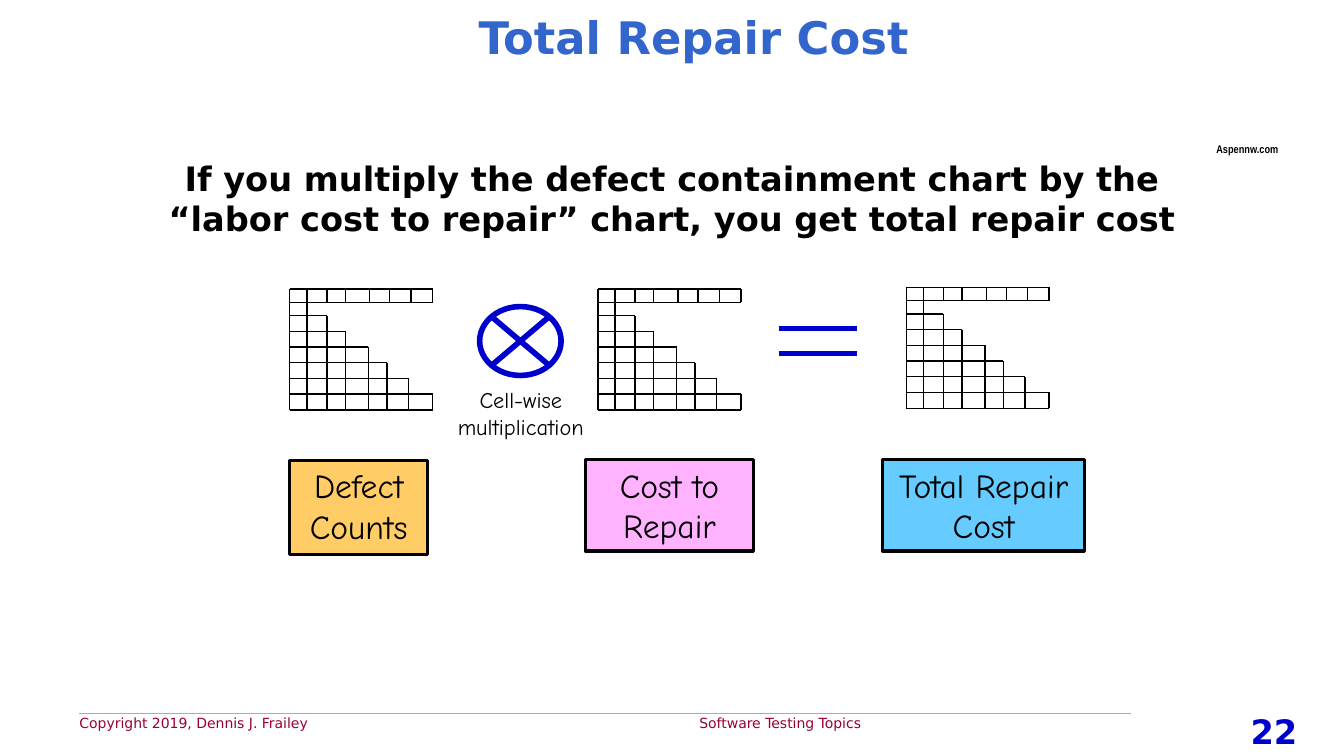
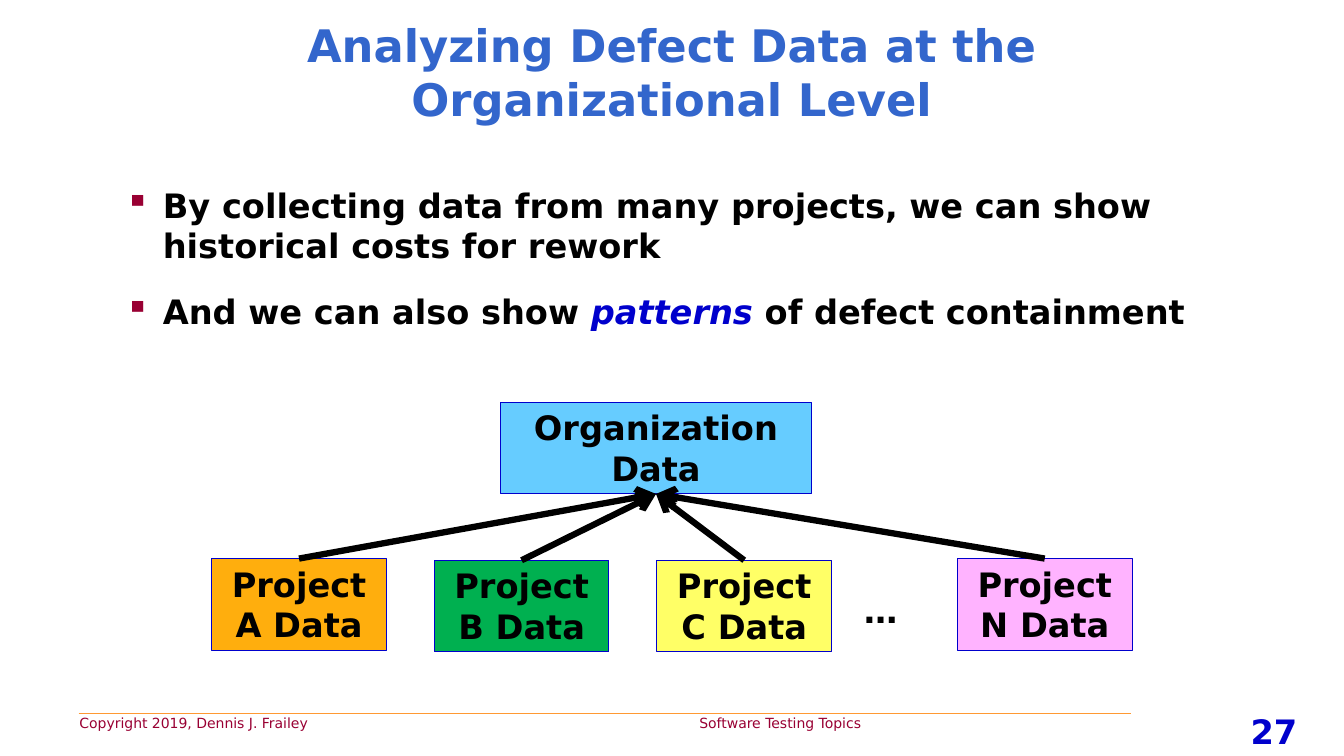
import pptx
import pptx.dml.color
import pptx.enum.shapes
import pptx.enum.text
import pptx.oxml.ns
import pptx.util
from lxml import etree

COLORS = {
    "title": "3366CC", "text": "000000", "accent": "0000CC", "footer": "990033",
    "rule": "FF9933", "white": "FFFFFF", "sand": "FFCC66", "pink": "FFB3FF",
    "sky": "66CCFF", "orange": "FFAE0D", "green": "00B050", "yellow": "FFFF66",
}
COLUMNS, ROWS, UNITS_PER_INCH = 160, 90, 12

SANS = "DejaVu Sans"
STYLES = {
    "title": {"name": SANS, "size": 32, "bold": True, "color": "title"},
    "body": {"name": SANS, "size": 24, "bold": True, "color": "text"},
    "number": {"name": SANS, "size": 24, "bold": True, "color": "accent"},
    "footer": {"name": SANS, "size": 10, "color": "footer"},
    "label": {"name": "Comic Neue", "size": 24, "color": "text"},
    "caption": {"name": "Comic Neue", "size": 16, "color": "text"},
    "credit": {"name": "Arial Narrow", "size": 8, "bold": True, "color": "text"},
}
CENTER = pptx.enum.text.PP_ALIGN.CENTER
LEFT = pptx.enum.text.PP_ALIGN.LEFT
TOP = pptx.enum.text.MSO_ANCHOR.TOP
MIDDLE = pptx.enum.text.MSO_ANCHOR.MIDDLE

MATRIX_COLUMNS = [0, 0.12, 0.26, 0.39, 0.55, 0.68, 0.83, 1]
MATRIX_HEADER = [0.12, 0.26, 0.39, 0.56, 0.7, 0.85, 1]
MATRIX_ROWS = [0, 0.11, 0.22, 0.35, 0.48, 0.61, 0.74, 0.87, 1]


def grid(units):
    """Return the length of a number of grid units."""
    return pptx.util.Inches(units / UNITS_PER_INCH)


def rgb(name):
    """Return a named colour."""
    return pptx.dml.color.RGBColor.from_string(COLORS[name])


def add_element(parent, tag, **attributes):
    """Append a drawing element to a parent."""
    return etree.SubElement(parent, pptx.oxml.ns.qn(tag), attributes)


def format_font(font, style):
    """Set a font from a dict of format values."""
    for name, value in style.items():
        if name == "color":
            font.color.rgb = rgb(value)
        else:
            setattr(font, name, pptx.util.Pt(value) if name == "size" else value)


def format_line(line, color, width):
    """Set the colour and width of an outline."""
    line.color.rgb = rgb(color)
    line.width = pptx.util.Pt(width)


def add_bullet(paragraph):
    """Give a paragraph a square bullet and a hanging indent."""
    properties = paragraph._p.get_or_add_pPr()
    indent = grid(4.5)
    properties.set("marL", str(indent))
    properties.set("indent", str(-indent))
    add_element(add_element(properties, "a:buClr"), "a:srgbClr", val=COLORS["footer"])
    add_element(properties, "a:buChar", char="▪")


def add_tab(paragraph, position):
    """Give a paragraph one left tab stop."""
    tabs = add_element(paragraph._p.get_or_add_pPr(), "a:tabLst")
    add_element(tabs, "a:tab", pos=str(grid(position)), algn="l")


def write_text(shape, paragraphs, style, align=CENTER, anchor=TOP, wrap=True,
               bullets=False, space=0, tab=None):
    """Fill a shape with paragraphs, each a list of runs with style changes."""
    frame = shape.text_frame
    settings = {"word_wrap": wrap, "vertical_anchor": anchor,
                "auto_size": pptx.enum.text.MSO_AUTO_SIZE.NONE}
    for name, value in settings.items():
        setattr(frame, name, value)
    for index, runs in enumerate(paragraphs):
        paragraph = frame.add_paragraph() if index else frame.paragraphs[0]
        if bullets:
            add_bullet(paragraph)
        if tab:
            add_tab(paragraph, tab)
        paragraph.alignment = align
        if index and space:
            paragraph.space_before = pptx.util.Pt(space)
        for text, changes in runs:
            run = paragraph.add_run()
            run.text = text
            format_font(run.font, {**STYLES[style], **changes})


def add_text(slide, box, paragraphs, style, **options):
    """Add a text box on the grid."""
    shape = slide.shapes.add_textbox(*map(grid, box))
    write_text(shape, paragraphs, style, **options)


def add_box(slide, box, fill, line, width, text=None, style="body", kind="RECTANGLE"):
    """Add a filled shape with an outline and an optional label."""
    preset = getattr(pptx.enum.shapes.MSO_SHAPE, kind)
    shape = slide.shapes.add_shape(preset, *map(grid, box))
    shape.shadow.inherit = False
    shape.fill.solid()
    shape.fill.fore_color.rgb = rgb(fill)
    format_line(shape.line, line, width)
    if text:
        write_text(shape, [[(text, {})]], style)
    return shape


def add_line(slide, start, end, color, width, arrow=False):
    """Add a straight line between two grid points."""
    connector = slide.shapes.add_connector(
        pptx.enum.shapes.MSO_CONNECTOR.STRAIGHT, *map(grid, (*start, *end)))
    format_line(connector.line, color, width)
    if arrow:
        add_element(connector.line._get_or_add_ln(), "a:tailEnd", type="arrow")
    add_element(connector._element.spPr, "a:effectLst")
    return connector


def add_titled_slide(presentation, title, title_box, number):
    """Add a slide with its title, footer and page number."""
    slide = presentation.slides.add_slide(presentation.slide_layouts[5])
    placeholder = slide.shapes.title
    for name, value in zip(("left", "top", "width", "height"), title_box):
        setattr(placeholder, name, grid(value))
    write_text(placeholder, [[(title, {})]], "title", anchor=MIDDLE)
    add_line(slide, (9.36, 85), (134.64, 85), "rule", 0.75)
    footer = "Copyright 2019, Dennis J. Frailey\tSoftware Testing Topics"
    add_text(slide, (8.28, 84.5, 127.7, 3.2), [[(footer, {})]], "footer",
             align=LEFT, tab=73.8)
    add_text(slide, (143.2, 84, 16.9, 6), [[(number, {})]], "number")
    return slide


def add_matrix(slide, box):
    """Draw a header row above a staircase of cells."""
    left, top, width, height = box

    def rule(x1, y1, x2, y2):
        """Draw one line between two points given as shares of the box."""
        add_line(slide, (left + x1 * width, top + y1 * height),
                 (left + x2 * width, top + y2 * height), "text", 1)

    for y in (MATRIX_ROWS[0], MATRIX_ROWS[1], MATRIX_ROWS[-1]):
        rule(0, y, 1, y)
    rule(0, 0, 0, 1)
    for x in MATRIX_HEADER:
        rule(x, 0, x, MATRIX_ROWS[1])
    for x, y in list(zip(MATRIX_COLUMNS, MATRIX_ROWS))[1:]:
        rule(x, y, x, 1)
        if y > MATRIX_ROWS[1]:
            rule(0, y, x, y)


def add_times_sign(slide, box):
    """Draw a circled multiplication sign."""
    left, top, width, height = box
    add_box(slide, box, "white", "accent", 4, kind="OVAL")
    near, far = 0.14, 0.86
    for start, end in ((near, far), (far, near)):
        add_line(slide, (left + start * width, top + near * height),
                 (left + end * width, top + far * height), "accent", 4)


def add_equals_sign(slide, box):
    """Draw two parallel bars along the top and bottom of a box."""
    left, top, width, height = box
    for y in (top, top + height):
        add_line(slide, (left, y), (left + width, y), "accent", 4)


def build_cost_slide(presentation):
    """Build the slide that multiplies two charts into a third."""
    slide = add_titled_slide(presentation, "Total Repair Cost", (11.4, 0, 142.4, 8.8), "22")
    statement = ("If you multiply the defect containment chart by the "
                 "“labor cost to repair” chart, you get total repair cost")
    add_text(slide, (14, 18.2, 132, 12), [[(statement, {})]], "body")
    first, pitch = 34.5, 36.7
    for index, top in enumerate((34.4, 34.4, 34.2)):
        add_matrix(slide, (first + index * pitch, top, 17, 14.4))
    add_times_sign(slide, (57.1, 36.5, 9.7, 8.2))
    add_equals_sign(slide, (92.7, 39.1, 9.3, 3))
    add_text(slide, (52, 45.4, 20, 7.7), [[("Cell-wise", {})], [("multiplication", {})]],
             "caption", wrap=False)
    labels = (
        ("Defect Counts", "sand", (34.5, 54.8, 16.4, 11.2)),
        ("Cost to Repair", "pink", (69.7, 54.7, 20, 10.9)),
        ("Total Repair Cost", "sky", (105.1, 54.7, 24, 10.9)),
    )
    for text, fill, box in labels:
        add_box(slide, box, fill, "text", 2.25, text, "label")
    add_text(slide, (138.7, 16.4, 19.6, 3.4), [[("Aspennw.com", {})]], "credit")


def add_project_tree(slide, box):
    """Draw the project boxes with arrows up to the organization box."""
    left, top, width, height = box
    box_height, project_width = 10.9, 20.8
    pitch = 26.5
    organization = add_box(slide, (left + 34.4, top, 37, box_height), "sky", "accent",
                           0.75, "Organization Data")
    projects = (("A", "orange", 0, 0), ("B", "green", 1, 0.2),
                ("C", "yellow", 2, 0.2), ("N", "pink", 3.35, 0))
    boxes = [
        add_box(slide, (left + column * pitch, top + height - box_height + drop,
                        project_width, box_height),
                fill, "accent", 0.75, f"Project {name} Data")
        for name, fill, column, drop in projects
    ]
    add_text(slide, (left + 75.1, top + 21.7, 9.1, 6), [[("…", {})]], "body")
    for project in reversed(boxes):
        arrow = add_line(slide, (0, 0), (1, 1), "text", 4.5, arrow=True)
        arrow.begin_connect(project, 0)
        arrow.end_connect(organization, 2)


def build_organization_slide(presentation):
    """Build the slide that gathers project data for the organization."""
    slide = add_titled_slide(presentation, "Analyzing Defect Data at the Organizational Level",
                             (20, 2, 120, 13), "27")
    points = [
        [("By collecting data from many projects, we can show "
          "historical costs for rework", {})],
        [("And we can also show ", {}),
         ("patterns", {"color": "accent", "italic": True}),
         (" of defect containment", {})],
    ]
    add_text(slide, (13.7, 21.4, 132.6, 21.5), points, "body",
             align=LEFT, bullets=True, space=18)
    add_project_tree(slide, (25.2, 47.9, 109.6, 29.5))


def main():
    """Build and save the presentation."""
    presentation = pptx.Presentation()
    presentation.slide_width = grid(COLUMNS)
    presentation.slide_height = grid(ROWS)
    build_cost_slide(presentation)
    build_organization_slide(presentation)
    presentation.save("out.pptx")


if __name__ == "__main__":
    main()
